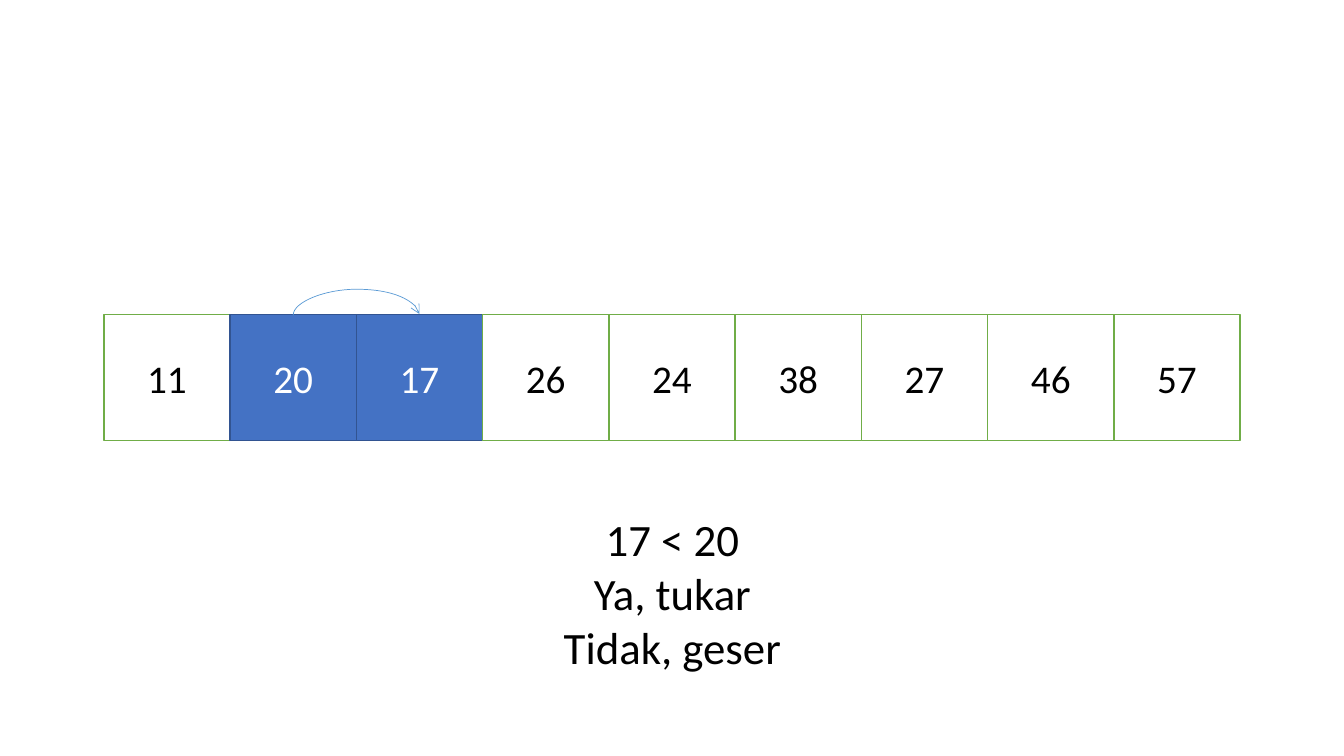
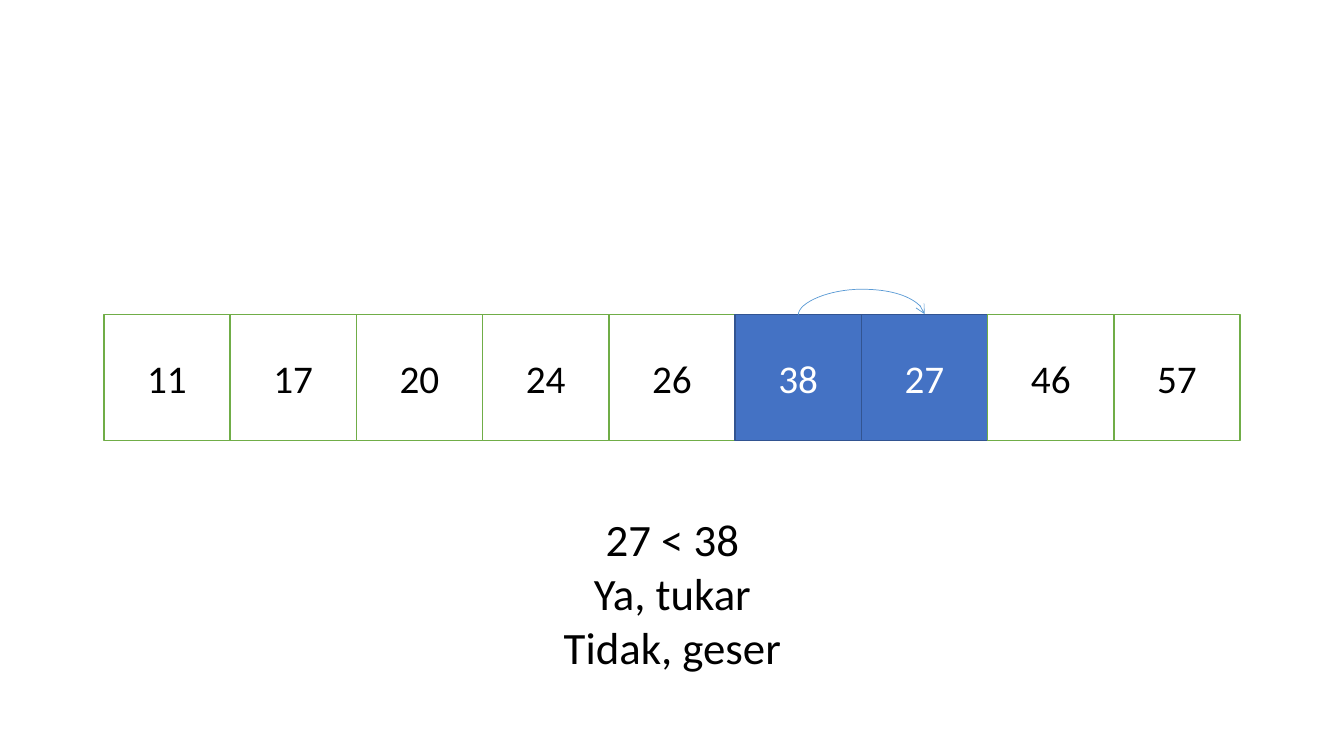
import pptx
import pptx.dml.color
import pptx.enum.shapes
import pptx.enum.text
import pptx.oxml
import pptx.oxml.ns
import pptx.util
from pptx.util import Inches

ROW_LEFT, ROW_TOP, ROW_WIDTH = 1.03, 3.12, 11.27
ARC_RISE, ARC_DROP = 0.26, 0.01

# Numbers in the row, index of the left cell compared
STEPS = [
    ([11, 20, 17, 26, 24, 38, 27, 46, 57], 1),
    ([11, 17, 20, 24, 26, 38, 27, 46, 57], 5),
]


def color(hex_string):
    return pptx.dml.color.RGBColor.from_string(hex_string)


class Deck:
    FONT = "Calibri"
    TEXT = "000000"
    # Fill, line and text colours of a cell
    PLAIN = ("FFFFFF", "70AD47", TEXT)
    ACTIVE = ("4472C4", "325491", "FFFFFF")
    ARROW = "5B9BD5"

    def __init__(self):
        self.prs = pptx.Presentation()
        self.prs.slide_width = Inches(13.33)
        self.prs.slide_height = Inches(7.5)
        self.s = None

    def slide(self):
        self.s = self.prs.slides.add_slide(self.prs.slide_layouts[6])

    def add_text(self, tf, lines, size, text_color):
        tf.word_wrap = True
        for i, line in enumerate(lines):
            p = tf.paragraphs[0] if i == 0 else tf.add_paragraph()
            p.alignment = pptx.enum.text.PP_ALIGN.CENTER
            r = p.add_run()
            r.text = line
            r.font.name = self.FONT
            r.font.size = pptx.util.Pt(size)
            r.font.color.rgb = color(text_color)

    def cell(self, left, top, size, number, style):
        fill, line, text_color = style
        sp = self.s.shapes.add_shape(
            pptx.enum.shapes.MSO_SHAPE.RECTANGLE,
            Inches(left), Inches(top), Inches(size), Inches(size))
        sp.shadow.inherit = False
        sp.fill.solid()
        sp.fill.fore_color.rgb = color(fill)
        sp.line.color.rgb = color(line)
        sp.line.width = pptx.util.Pt(1)
        sp.text_frame.vertical_anchor = pptx.enum.text.MSO_ANCHOR.MIDDLE
        self.add_text(sp.text_frame, [str(number)], 28, text_color)
        return sp

    def row(self, numbers, active):
        size = ROW_WIDTH / len(numbers)
        return [
            self.cell(ROW_LEFT + i * size, ROW_TOP, size, number,
                      self.ACTIVE if i in (active, active + 1) else self.PLAIN)
            for i, number in enumerate(numbers)
        ]

    def caption(self, lines):
        sp = self.s.shapes.add_textbox(
            Inches(4.39), Inches(5.03), Inches(4.56), Inches(1.72))
        self.add_text(sp.text_frame, lines, 32, self.TEXT)
        sp.text_frame.auto_size = pptx.enum.text.MSO_AUTO_SIZE.SHAPE_TO_FIT_TEXT

    def arc(self, first, second):
        """Curved arrow over two neighbouring cells."""
        start = first.left + first.width // 2
        end = second.left + second.width // 2
        cxn = self.s.shapes.add_connector(
            pptx.enum.shapes.MSO_CONNECTOR.CURVE,
            start, first.top, end, second.top)
        cxn.begin_connect(first, 0)
        cxn.end_connect(second, 0)
        cxn.line.color.rgb = color(self.ARROW)
        cxn.line.width = pptx.util.Pt(0.5)

        # A thin upright frame turned by 270 degrees bends the curve upwards
        span, drop = end - start, Inches(ARC_DROP)
        cxn.left, cxn.top = (start + end - drop) // 2, first.top - span // 2
        cxn.width, cxn.height = drop, span
        sp_pr = cxn._element.spPr
        sp_pr.xfrm.set("rot", str(270 * 60000))
        guides = sp_pr.find(pptx.oxml.ns.qn("a:prstGeom")).get_or_add_avLst()
        ns = pptx.oxml.ns.nsdecls("a")
        bend = round(ARC_RISE / ARC_DROP * 100000)
        guides.append(pptx.oxml.parse_xml(
            f'<a:gd {ns} name="adj1" fmla="val {bend}"/>'))

        # Arrowhead, no shadow
        sp_pr.find(pptx.oxml.ns.qn("a:ln")).append(
            pptx.oxml.parse_xml(f'<a:tailEnd {ns} type="arrow"/>'))
        sp_pr.append(pptx.oxml.parse_xml(f"<a:effectLst {ns}/>"))


def main():
    deck = Deck()
    for numbers, active in STEPS:
        deck.slide()
        cells = deck.row(numbers, active)
        left, right = numbers[active:active + 2]
        deck.caption([f"{right} < {left}", "Ya, tukar", "Tidak, geser"])
        deck.arc(cells[active], cells[active + 1])
    deck.prs.save("out.pptx")


if __name__ == "__main__":
    main()
